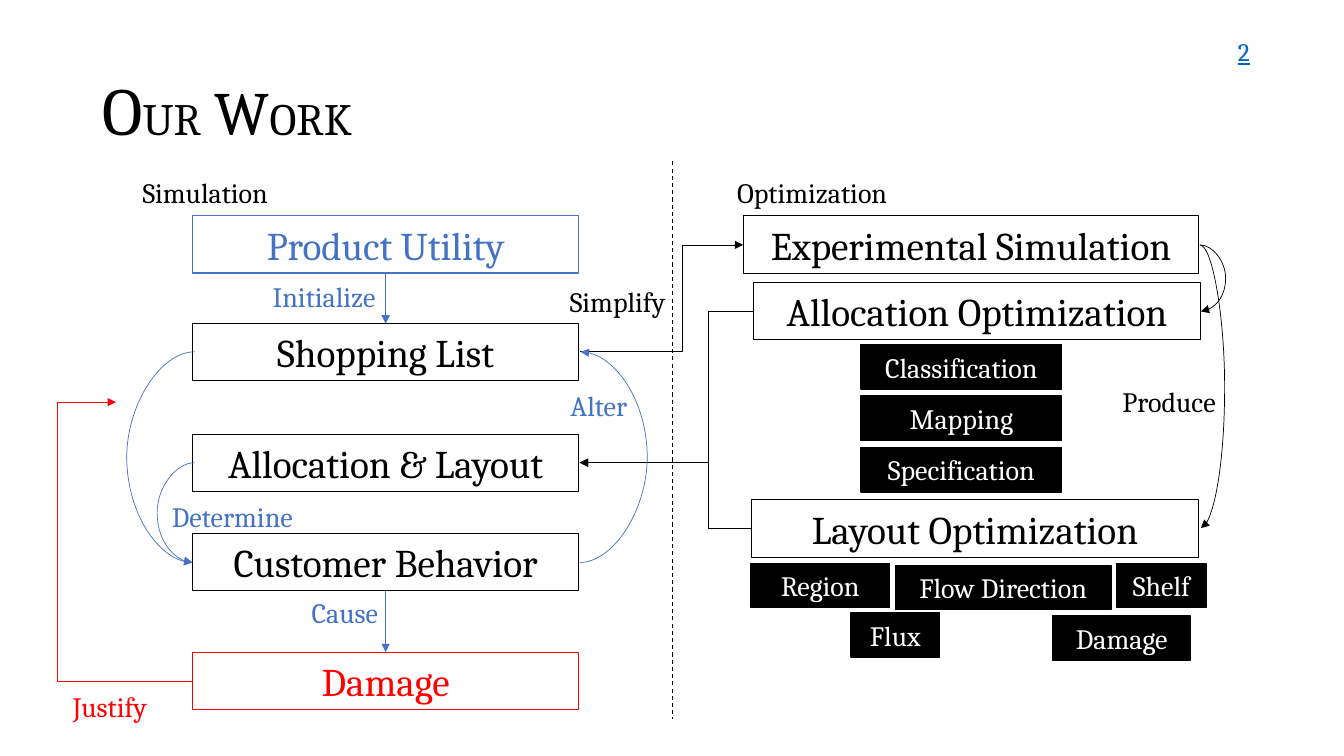
from dataclasses import dataclass

from lxml import etree
from pptx import Presentation
from pptx.dml.color import RGBColor
from pptx.enum.dml import MSO_LINE
from pptx.enum.shapes import MSO_CONNECTOR, MSO_SHAPE
from pptx.enum.text import MSO_ANCHOR, PP_ALIGN
from pptx.oxml.ns import qn
from pptx.util import Inches, Pt

RECT = MSO_SHAPE.RECTANGLE
STRAIGHT, ELBOW, CURVE = MSO_CONNECTOR.STRAIGHT, MSO_CONNECTOR.ELBOW, MSO_CONNECTOR.CURVE
CENTER, LEFT = PP_ALIGN.CENTER, PP_ALIGN.LEFT
MIDDLE, TOP = MSO_ANCHOR.MIDDLE, MSO_ANCHOR.TOP
DASH = MSO_LINE.DASH
BOTTOM_SIDE, TOP_SIDE = 2, 0


@dataclass(frozen=True)
class Theme:
    font: str = "Cambria"
    black: str = "000000"
    white: str = "FFFFFF"
    blue: str = "4472C4"
    red: str = "FF0000"
    link: str = "0563C1"
    box_size: int = 28
    label_size: int = 20
    number_size: int = 18


T = Theme()

# Content
TITLE = [("O", 48), ("UR", 32), (" W", 44), ("ORK", 32)]

SIM_X, SIM_W, BOX_H, TAG_H = 1.91, 3.83, 0.57, 0.44
SIMULATION = [  # text, top, colour, line width
    ("Product Utility", 2.14, T.blue, 1),
    ("Shopping List", 3.21, T.black, 0.75),
    ("Allocation & Layout", 4.31, T.black, 0.75),
    ("Customer Behavior", 5.29, T.black, 0.75),
    ("Damage", 6.47, T.red, 0.75),
]
OPTIMIZATION = [  # text, left, top, width
    ("Experimental Simulation", 7.37, 2.14, 4.52),
    ("Allocation Optimization", 7.47, 2.8, 4.44),
    ("Layout Optimization", 7.45, 4.96, 4.44),
]
ALLOCATION_TAGS = ["Classification", "Mapping", "Specification"]
TAG_X, TAG_Y, TAG_W, TAG_STEP = 8.54, 3.42, 1.99, 0.51
LAYOUT_TAGS = [  # text, left, top, width
    ("Region", 7.45, 5.59, 1.37),
    ("Flow Direction", 8.88, 5.61, 2.14),
    ("Shelf", 11.08, 5.59, 0.88),
    ("Flux", 8.44, 6.08, 0.88),
    ("Damage", 10.44, 6.11, 1.37),
]
LABELS = [  # text, left, top, width, colour
    ("Simulation", 1.04, 1.69, 1.99, T.black),
    ("Optimization", 7.06, 1.69, 1.99, T.black),
    ("Initialize", 2.22, 2.72, 1.99, T.blue),
    ("Alter", 5.44, 3.81, 1, T.blue),
    ("Determine", 1.5, 4.91, 1.61, T.blue),
    ("Justify", 0.45, 6.79, 1.28, T.red),
    ("Simplify", 5.32, 2.77, 1.61, T.black),
    ("Produce", 10.79, 3.77, 1.61, T.black),
    ("Cause", 2.93, 5.86, 0.98, T.blue),
]
DOWN_ARROWS = [("Product Utility", "Shopping List"), ("Customer Behavior", "Damage")]
ROUTES = [  # kind, start, end, x of the vertical run, colour
    (ELBOW, (7.47, 3.09), (5.75, 4.59), 7.03, T.black),
    (ELBOW, (7.45, 5.24), (5.75, 4.59), 7.03, T.black),
    (ELBOW, (5.75, 3.49), (7.37, 2.43), 6.77, T.black),
    (ELBOW, (1.91, 6.76), (1.15, 3.99), 0.57, T.red),
    (CURVE, (1.93, 3.49), (1.91, 5.58), 1.26, T.blue),
    (CURVE, (1.93, 4.59), (1.91, 5.58), 1.56, T.blue),
    (CURVE, (5.75, 5.58), (5.76, 3.49), 6.43, T.blue),
    (CURVE, (11.9, 2.43), (11.91, 3.09), 12.16, T.black),
    (CURVE, (11.9, 2.43), (11.91, 5.24), 12.15, T.black),
]

prs = Presentation()
prs.slide_width, prs.slide_height = Inches(13.33), Inches(7.5)
s = prs.slides.add_slide(prs.slide_layouts[6])


def rgb(value):
    return RGBColor.from_string(value)


def write(sp, runs, color, align=CENTER, anchor=MIDDLE, underline=None):
    tf = sp.text_frame
    tf.word_wrap = True
    tf.vertical_anchor = anchor
    p = tf.paragraphs[0]
    p.alignment = align
    for text, size in runs:
        r = p.add_run()
        r.text = text
        r.font.name, r.font.size = T.font, Pt(size)
        r.font.color.rgb = rgb(color)
        r.font.underline = underline
    return p


def add_text(x, y, w, h, runs, color, **style):
    return write(s.shapes.add_textbox(*map(Inches, (x, y, w, h))), runs, color, **style)


def add_box(text, x, y, w, h, size, color, fill, line, line_width):
    sp = s.shapes.add_shape(RECT, *map(Inches, (x, y, w, h)))
    sp.shadow.inherit = False
    sp.fill.solid()
    sp.fill.fore_color.rgb = rgb(fill)
    sp.line.color.rgb = rgb(line)
    sp.line.width = Pt(line_width)
    write(sp, [(text, size)], color)
    return sp


def add_tag(text, x, y, w):
    add_box(text, x, y, w, TAG_H, T.label_size, T.white, T.black, T.black, 1)


def add_line(kind, start, end, color, width=0.5, arrow=True):
    cx = s.shapes.add_connector(kind, *map(Inches, (*start, *end)))
    cx.line.color.rgb = rgb(color)
    cx.line.width = Pt(width)
    if arrow:
        etree.SubElement(cx.line._get_or_add_ln(), qn("a:tailEnd"), type="triangle")
    etree.SubElement(cx._element.spPr, qn("a:effectLst"))
    return cx


def route(kind, start, end, via_x, color):
    cx = add_line(kind, start, end, color)
    share = (Inches(via_x) - cx.begin_x) / (cx.end_x - cx.begin_x)
    geom = cx._element.spPr.find(qn("a:prstGeom"))
    guides = geom.find(qn("a:avLst"))
    etree.SubElement(guides, qn("a:gd"), name="adj1", fmla=f"val {round(share * 100000)}")


# Title and slide number
title = add_text(0.92, 0.4, 11.5, 1.45, TITLE, T.black, align=LEFT)
title.line_spacing = 0.9
add_text(12.18, 0.31, 0.56, 0.4, [("2", T.number_size)], T.link,
         align=LEFT, anchor=TOP, underline=True)

# Main boxes of both halves
steps = {}
for text, y, color, width in SIMULATION:
    steps[text] = add_box(text, SIM_X, y, SIM_W, BOX_H, T.box_size,
                          color, T.white, color, width)
for text, x, y, w in OPTIMIZATION:
    add_box(text, x, y, w, BOX_H, T.box_size, T.black, T.white, T.black, 0.75)

# Arrows
for source, target in DOWN_ARROWS:
    cx = add_line(STRAIGHT, (0, 0), (1, 1), T.blue)
    cx.begin_connect(steps[source], BOTTOM_SIDE)
    cx.end_connect(steps[target], TOP_SIDE)
for item in ROUTES:
    route(*item)

# Labels
for text, x, y, w, color in LABELS:
    add_text(x, y, w, TAG_H, [(text, T.label_size)], color, anchor=TOP)

# Black tags
for i, text in enumerate(ALLOCATION_TAGS):
    add_tag(text, TAG_X, TAG_Y + i * TAG_STEP, TAG_W)
for item in LAYOUT_TAGS:
    add_tag(*item)

# Divider between the halves
divider = add_line(STRAIGHT, (6.67, 1.6), (6.67, 7.13), T.black, 0.75, arrow=False)
divider.line.dash_style = DASH

prs.save("out.pptx")
